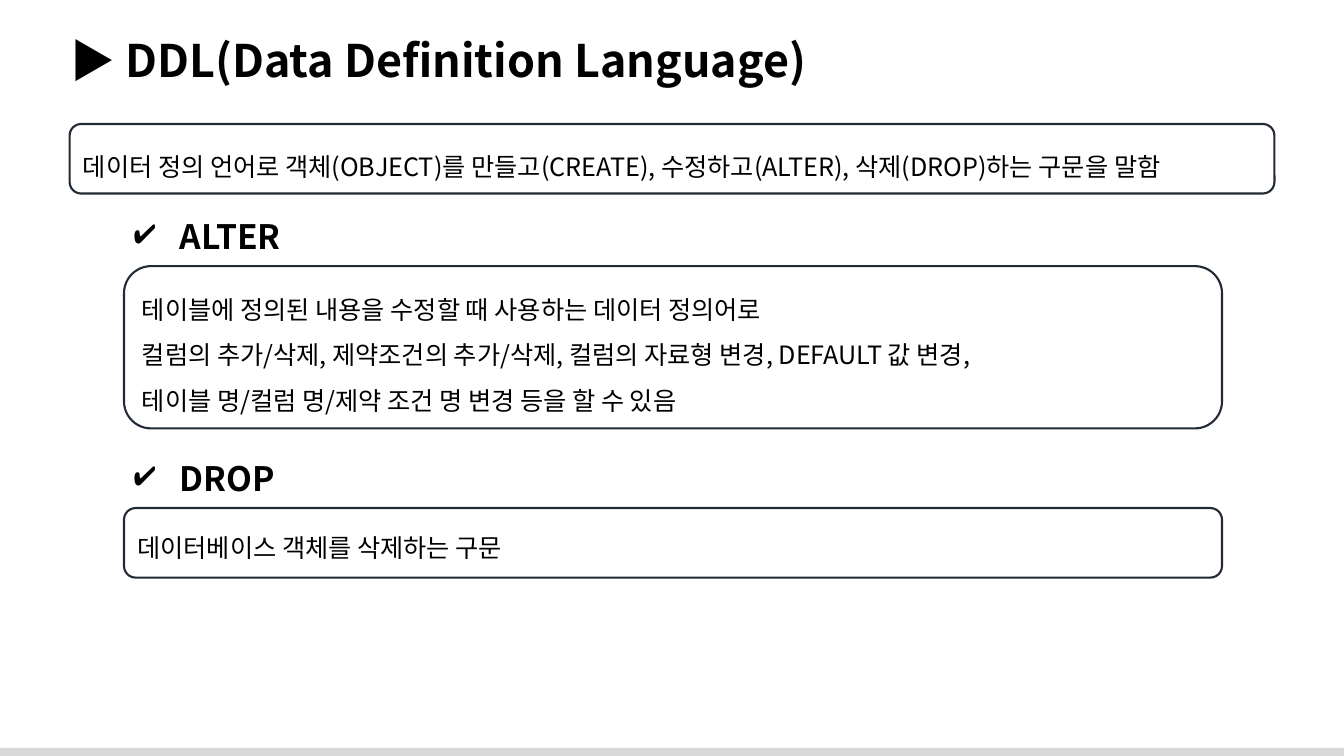
import pptx
import pptx.dml.color
import pptx.enum.shapes
import pptx.enum.text
import pptx.oxml
import pptx.oxml.ns
import pptx.util
from pptx.util import Inches

FONT = "Noto Sans CJK KR"
BLACK = pptx.dml.color.RGBColor(0, 0, 0)
NAVY = pptx.dml.color.RGBColor(0x22, 0x2A, 0x35)
GRAY = pptx.dml.color.RGBColor(0xD9, 0xD9, 0xD9)

TITLE = "▶ DDL(Data Definition Language)"
HEADINGS = [
    (" ALTER", 2.09),
    (" DROP", 4.49),
]
BOXES = [
    (0.69, 1.23, 11.95, 0.69, 1.5, [
        "데이터 정의 언어로 객체(OBJECT)를 만들고(CREATE), 수정하고(ALTER), 삭제(DROP)하는 구문을 말함",
    ]),
    (1.23, 2.64, 10.89, 1.61, 1.5, [
        "테이블에 정의된 내용을 수정할 때 사용하는 데이터 정의어로",
        "컬럼의 추가/삭제, 제약조건의 추가/삭제, 컬럼의 자료형 변경, DEFAULT 값 변경,",
        "테이블 명/컬럼 명/제약 조건 명 변경 등을 할 수 있음",
    ]),
    (1.23, 5.04, 10.89, 0.69, 1.3, [
        "데이터베이스 객체를 삭제하는 구문",
    ]),
]


def style_paragraph(paragraph, text, size, bold=False):
    paragraph.text = text
    paragraph.alignment = pptx.enum.text.PP_ALIGN.LEFT
    font = paragraph.font
    font.size = pptx.util.Pt(size)
    font.bold = bold
    font.color.rgb = BLACK
    font.name = FONT
    defaults = paragraph._p.pPr.find(pptx.oxml.ns.qn("a:defRPr"))
    east_asian = defaults.makeelement(pptx.oxml.ns.qn("a:ea"), {"typeface": FONT})
    defaults.append(east_asian)


def add_check_bullet(paragraph):
    properties = paragraph._p.get_or_add_pPr()
    properties.set("marL", str(Inches(0.38)))
    properties.set("indent", str(-Inches(0.38)))
    bullet = pptx.oxml.parse_xml(
        f'<a:buChar {pptx.oxml.ns.nsdecls("a")} char="✔"/>')
    properties.find(pptx.oxml.ns.qn("a:defRPr")).addprevious(bullet)


def add_text(slide, left, top, width, height, text, size):
    box = slide.shapes.add_textbox(*map(Inches, (left, top, width, height)))
    box.text_frame.word_wrap = True
    paragraph = box.text_frame.paragraphs[0]
    style_paragraph(paragraph, text, size, bold=True)
    return paragraph


def add_box(slide, left, top, width, height, spacing, lines):
    shape = slide.shapes.add_shape(
        pptx.enum.shapes.MSO_SHAPE.ROUNDED_RECTANGLE,
        *map(Inches, (left, top, width, height)))
    shape.shadow.inherit = False
    shape.fill.background()
    shape.line.color.rgb = NAVY
    shape.line.width = pptx.util.Pt(1.5)
    frame = shape.text_frame
    frame.word_wrap = True
    frame.vertical_anchor = pptx.enum.text.MSO_ANCHOR.MIDDLE
    for index, line in enumerate(lines):
        paragraph = frame.add_paragraph() if index else frame.paragraphs[0]
        style_paragraph(paragraph, line, 18)
        paragraph.line_spacing = spacing


def main():
    presentation = pptx.Presentation()
    presentation.slide_width = Inches(13.33)
    presentation.slide_height = Inches(7.5)
    slide = presentation.slides.add_slide(presentation.slide_layouts[6])

    footer = slide.shapes.add_shape(
        pptx.enum.shapes.MSO_SHAPE.RECTANGLE,
        Inches(0), Inches(7.42), presentation.slide_width, Inches(0.08))
    footer.shadow.inherit = False
    footer.fill.solid()
    footer.fill.fore_color.rgb = GRAY
    footer.line.fill.background()

    add_text(slide, 0.6, 0.28, 12.6, 0.64, TITLE, 32)
    for box in BOXES:
        add_box(slide, *box)
    for heading, top in HEADINGS:
        add_check_bullet(add_text(slide, 1.23, top, 1.68, 0.5, heading, 24))

    presentation.save("out.pptx")


if __name__ == "__main__":
    main()
